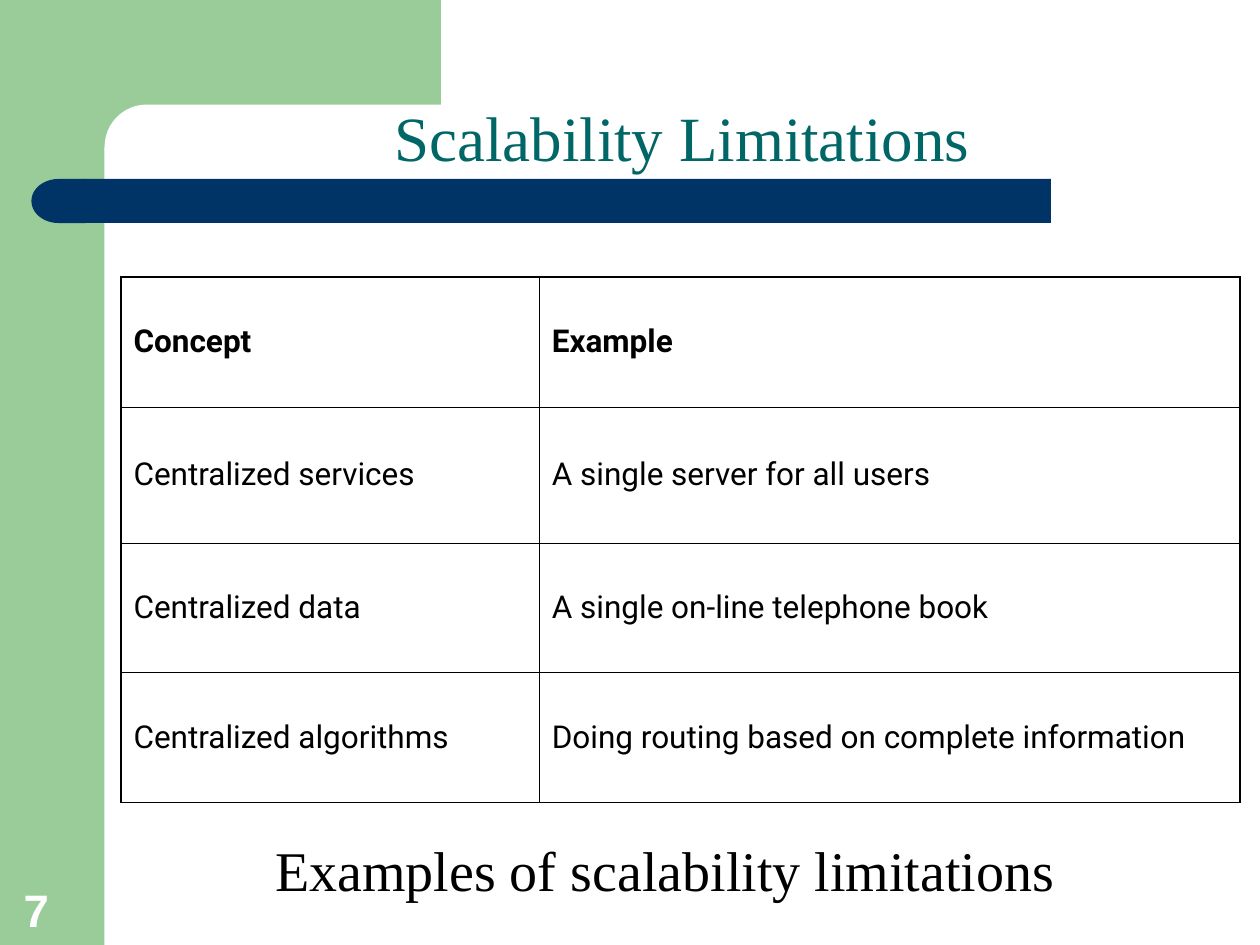
from dataclasses import dataclass

from lxml.etree import SubElement
from pptx import Presentation
from pptx.dml.color import RGBColor
from pptx.enum.shapes import MSO_SHAPE
from pptx.enum.text import MSO_ANCHOR, PP_ALIGN
from pptx.oxml.ns import qn
from pptx.util import Inches, Pt


@dataclass(frozen=True)
class Theme:
    green: str = "99CC99"
    navy: str = "003366"
    teal: str = "006666"
    white: str = "FFFFFF"
    black: str = "000000"
    serif: str = "Times New Roman"
    number_font: str = "Arial"
    table_font: str = "Roboto"
    title_size: int = 36
    caption_size: int = 32
    number_size: int = 26
    table_size: int = 18
    outer_border: float = 1.08
    inner_border: float = 0.45


theme = Theme()


def write(paragraph, text, font_name, size, color, bold=False):
    run = paragraph.add_run()
    run.text = text
    run.font.name = font_name
    run.font.size = Pt(size)
    run.font.bold = bold
    run.font.color.rgb = RGBColor.from_string(color)


def add_border(cell, position, side, width):
    """Put a black line on one cell side; schema order is L, R, T, B, fill."""
    properties = cell._tc.get_or_add_tcPr()
    line = SubElement(properties, qn(f"a:ln{side}"), w=str(Pt(width)))
    properties.insert(position, line)
    fill = SubElement(line, qn("a:solidFill"))
    SubElement(fill, qn("a:srgbClr"), val=theme.black)


presentation = Presentation()
presentation.slide_width = Inches(10)
presentation.slide_height = Inches(7.5)
slide = presentation.slides.add_slide(presentation.slide_layouts[6])

# Background bands, the white rounded corner and the title bar
decorations = [
    (MSO_SHAPE.RECTANGLE, (0, 0, 0.83, 7.5), theme.green),
    (MSO_SHAPE.RECTANGLE, (0.75, 0, 2.75, 1.17), theme.green),
    (MSO_SHAPE.ROUNDED_RECTANGLE, (0.83, 0.83, 3.42, 0.67), theme.white),
    (MSO_SHAPE.RECTANGLE, (0.67, 1.42, 7.67, 0.35), theme.navy),
    (MSO_SHAPE.FLOWCHART_DELAY, (0.25, 1.42, 0.43, 0.35), theme.navy),
]
for kind, box, color in decorations:
    shape = slide.shapes.add_shape(kind, *map(Inches, box))
    shape.shadow.inherit = False
    shape.fill.solid()
    shape.fill.fore_color.rgb = RGBColor.from_string(color)
    shape.line.fill.background()
    if kind == MSO_SHAPE.ROUNDED_RECTANGLE:
        shape.adjustments[0] = 0.5
    elif kind == MSO_SHAPE.FLOWCHART_DELAY:
        shape.element.spPr.xfrm.set("flipH", "1")

# Slide number, title and caption
texts = [
    ("7", (0.09, 6.94, 0.64, 0.54), MSO_ANCHOR.BOTTOM, PP_ALIGN.LEFT, 0,
     (theme.number_font, theme.number_size, theme.white, True)),
    ("Scalability Limitations", (0.83, 0.76, 9.17, 0.67), MSO_ANCHOR.BOTTOM, PP_ALIGN.CENTER, 0,
     (theme.serif, theme.title_size, theme.teal)),
    ("Examples of scalability limitations", (1.28, 6.58, 8, 0.64), MSO_ANCHOR.TOP, PP_ALIGN.CENTER, 20,
     (theme.serif, theme.caption_size, theme.black)),
]
for text, box, anchor, alignment, space_before, style in texts:
    frame = slide.shapes.add_textbox(*map(Inches, box)).text_frame
    frame.word_wrap = True
    frame.vertical_anchor = anchor
    paragraph = frame.paragraphs[0]
    paragraph.alignment = alignment
    paragraph.space_before = Pt(space_before)
    write(paragraph, text, *style)

# Table of limitations
rows = [
    ("Concept", "Example"),
    ("Centralized services", "A single server for all users"),
    ("Centralized data", "A single on-line telephone book"),
    ("Centralized algorithms", "Doing routing based on complete information"),
]
column_widths = [3.32, 5.56]
row_heights = [1.03, 1.08, 1.03, 1.03]
table = slide.shapes.add_table(
    len(rows), len(column_widths), Inches(0.96), Inches(2.2),
    Inches(sum(column_widths)), Inches(sum(row_heights)),
).table
table.first_row = False
table.horz_banding = False
for column, width in zip(table.columns, column_widths):
    column.width = Inches(width)
for row, height in zip(table.rows, row_heights):
    row.height = Inches(height)

for row_index, labels in enumerate(rows):
    for column_index, label in enumerate(labels):
        cell = table.cell(row_index, column_index)
        cell.vertical_anchor = MSO_ANCHOR.MIDDLE
        cell.fill.background()
        paragraph = cell.text_frame.paragraphs[0]
        paragraph.space_before = Pt(4.5)
        write(paragraph, label, theme.table_font, theme.table_size, theme.black, row_index == 0)
        on_outer_edge = {
            "L": column_index == 0,
            "R": column_index == len(labels) - 1,
            "T": row_index == 0,
            "B": row_index == len(rows) - 1,
        }
        for position, (side, is_outer) in enumerate(on_outer_edge.items()):
            add_border(cell, position, side, theme.outer_border if is_outer else theme.inner_border)

presentation.save("out.pptx")
